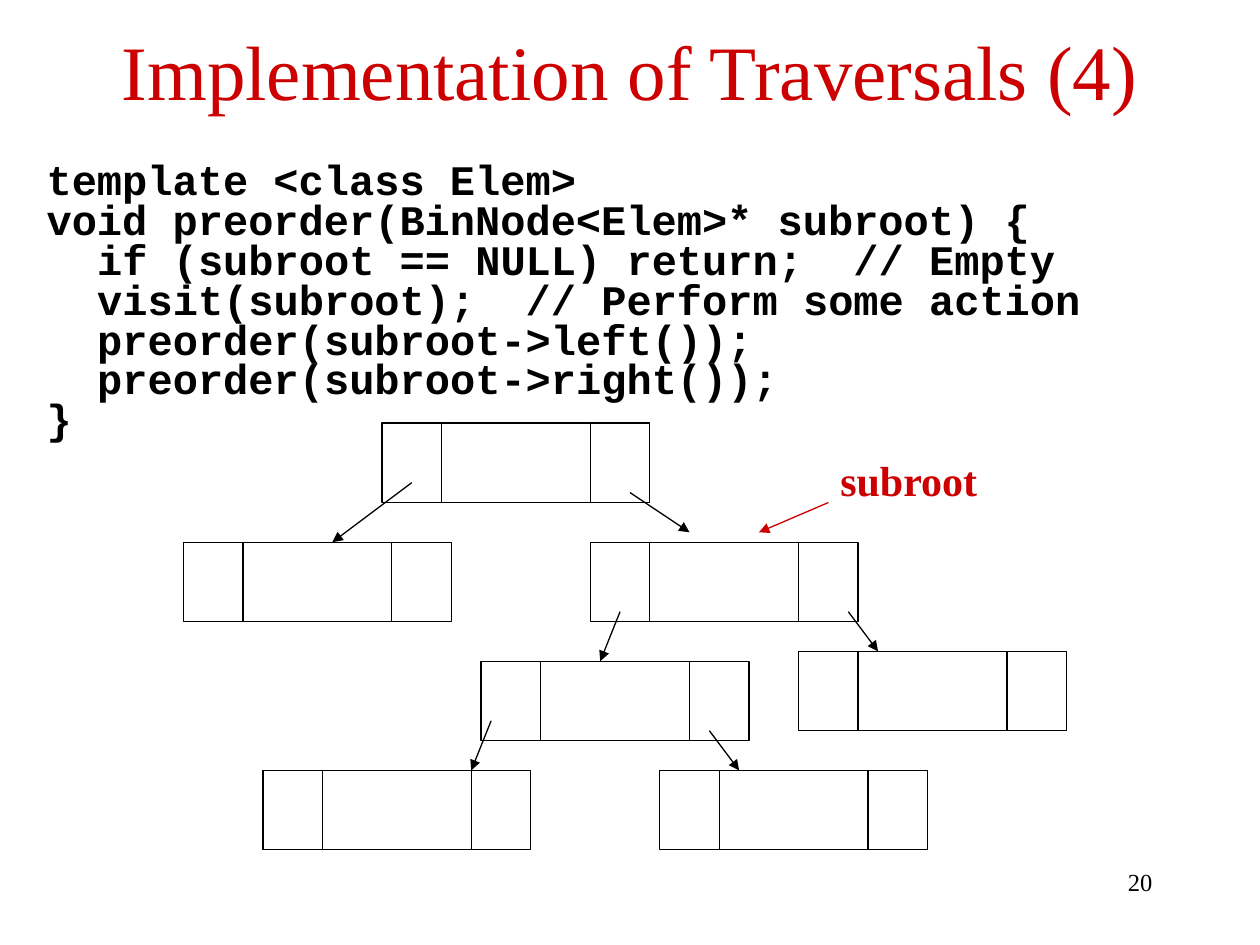
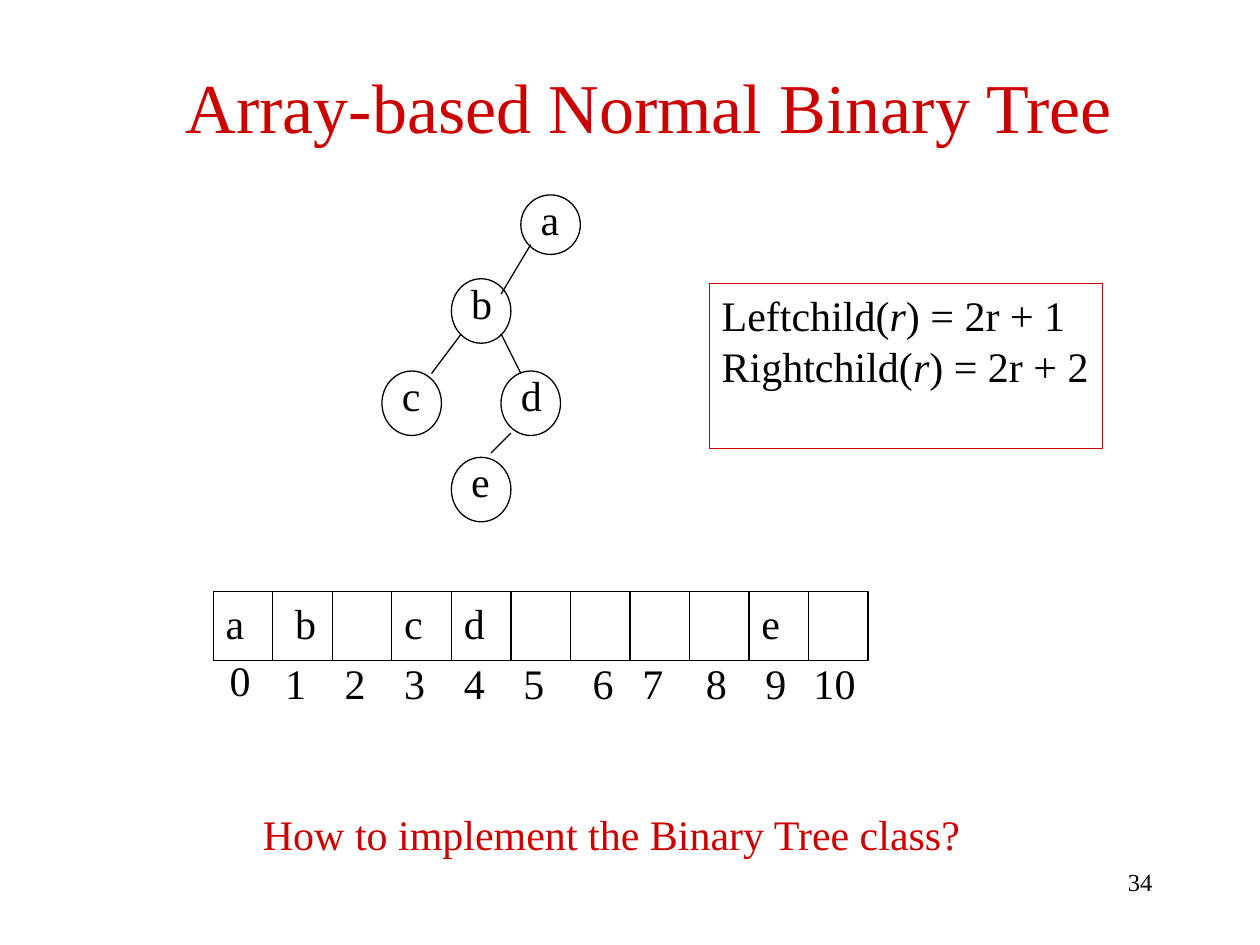
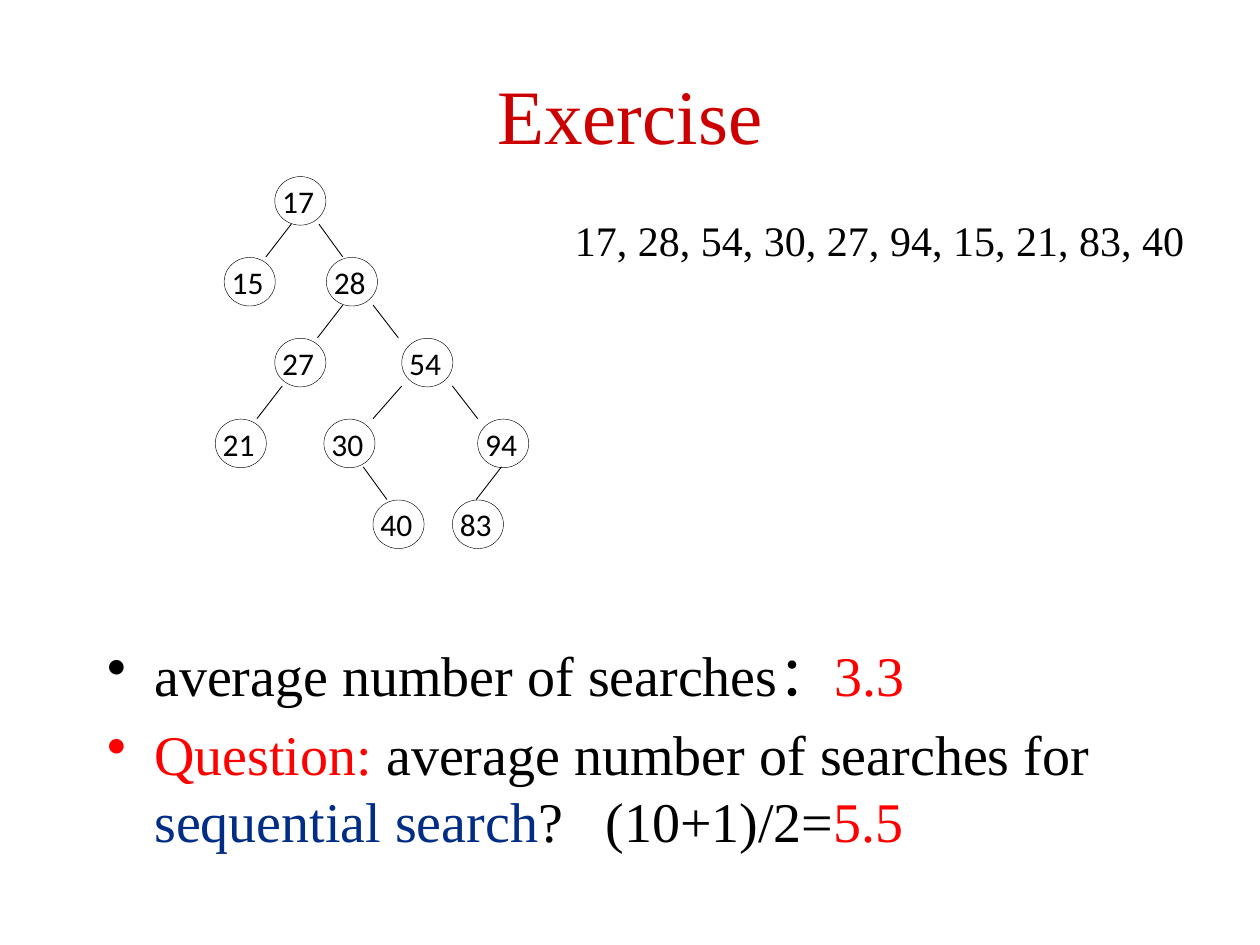
from dataclasses import dataclass

from lxml.etree import SubElement
from pptx import Presentation
from pptx.dml.color import RGBColor
from pptx.enum.shapes import MSO_CONNECTOR, MSO_SHAPE
from pptx.enum.text import MSO_ANCHOR, MSO_AUTO_SIZE, PP_ALIGN
from pptx.oxml.ns import qn
from pptx.util import Cm, Pt


@dataclass(frozen=True)
class Theme:
    # Colours
    ink: str = "000000"
    heading: str = "CC0000"
    answer: str = "FF0000"
    term: str = "012D86"
    # Fonts
    serif: str = "Times New Roman"
    code: str = "Courier New"
    label: str = "Calibri"
    # Type sizes
    title_size: int = 44
    long_title_size: int = 40
    body_size: int = 32
    text_size: int = 24
    node_size: int = 18
    number_size: int = 14
    # Line widths
    line: float = 0.75
    thin: float = 0.5
    hair: float = 0.25


class Deck:
    """Holds the theme and the slide being drawn; positions are in centimetres."""

    def __init__(self, theme):
        self.theme = theme
        self.prs = Presentation()
        self.prs.slide_width, self.prs.slide_height = Cm(25.4), Cm(19.05)
        self.slide = None

    def start(self, title, box, size=None, number=None):
        theme = self.theme
        self.slide = self.prs.slides.add_slide(self.prs.slide_layouts[5])
        heading = self.slide.shapes.title
        heading.left, heading.top, heading.width, heading.height = map(Cm, box)
        frame = heading.text_frame
        frame.auto_size = MSO_AUTO_SIZE.NONE
        frame.vertical_anchor = MSO_ANCHOR.MIDDLE
        self.fill_text(frame, [title], size=size or theme.title_size,
                       color=theme.heading, align=PP_ALIGN.CENTER)
        if number:
            self.text([number], (18.2, 17.35, 5.28, 1.27), wrap=True,
                      size=theme.number_size, align=PP_ALIGN.RIGHT)

    def fill_text(self, frame, lines, size=None, color=None, font=None, bold=False,
                  align=PP_ALIGN.LEFT):
        """Each line is a string or a list of (text, overrides) runs."""
        theme = self.theme
        for i, line in enumerate(lines):
            paragraph = frame.paragraphs[0] if i == 0 else frame.add_paragraph()
            paragraph.alignment = align
            for words, style in [(line, {})] if isinstance(line, str) else line:
                run = paragraph.add_run()
                run.text = words
                run.font.name = font or theme.serif
                run.font.size = Pt(size or theme.text_size)
                run.font.bold = bold
                run.font.italic = style.get("italic", False)
                run.font.color.rgb = RGBColor.from_string(
                    style.get("color", color or theme.ink))

    def text(self, lines, box, wrap=False, **style):
        frame = self.slide.shapes.add_textbox(*map(Cm, box)).text_frame
        frame.word_wrap = wrap
        self.fill_text(frame, lines, **style)
        return frame

    def outline(self, kind, box, color=None, width=None, shapes=None):
        shape = (shapes or self.slide.shapes).add_shape(kind, *map(Cm, box))
        shape.shadow.inherit = False
        shape.fill.background()
        self.stroke(shape.line, color, width)
        return shape

    def stroke(self, line, color=None, width=None):
        line.color.rgb = RGBColor.from_string(color or self.theme.ink)
        line.width = Pt(width or self.theme.line)

    def line(self, ends, color=None, width=None, arrow=False):
        edge = self.slide.shapes.add_connector(MSO_CONNECTOR.STRAIGHT, *map(Cm, ends))
        self.stroke(edge.line, color, width)
        props = edge._element.spPr
        if arrow:
            SubElement(props.find(qn("a:ln")), qn("a:tailEnd"), type="triangle")
        SubElement(props, qn("a:effectLst"))

    def record(self, left, top):
        """Tree node with a left pointer, a value and a right pointer."""
        parts = self.slide.shapes.add_group_shape().shapes
        for offset, width in ((0, 1.2), (4.2, 1.2), (1.2, 3)):
            self.outline(MSO_SHAPE.RECTANGLE, (left + offset, top, width, 1.6),
                         shapes=parts)

    def indent(self, paragraph, left, hanging=0, bullet=None):
        props = paragraph._p.get_or_add_pPr()
        props.set("marL", str(Cm(left)))
        props.set("indent", str(-Cm(hanging)))
        if bullet:
            SubElement(props, qn("a:buChar"), char=bullet)


def traversals(deck):
    theme = deck.theme
    deck.start("Implementation of Traversals (4)", (1.27, 0.13, 22.86, 2.54), number="20")

    # Code listing, with the function body set in
    code = [
        "template <class Elem>",
        "void preorder(BinNode<Elem>* subroot) {",
        "if (subroot == NULL) return;  // Empty",
        "visit(subroot);  // Perform some action",
        "preorder(subroot->left());",
        "preorder(subroot->right());",
        "}",
    ]
    listing = deck.text(code, (0.69, 3.33, 22.86, 12.7), wrap=True,
                        font=theme.code, bold=True)
    for i, paragraph in enumerate(listing.paragraphs):
        paragraph.line_spacing = 0.6
        paragraph.space_before = Pt(5.5)
        if 2 <= i <= 5:
            deck.indent(paragraph, 1.02)

    # Linked tree
    for left, top in ((7.7, 8.53), (3.7, 10.93), (11.9, 10.93), (9.7, 13.33),
                      (16.1, 13.13), (5.3, 15.53), (13.3, 15.53)):
        deck.record(left, top)
    for pointer in ((8.3, 9.73, 6.7, 10.93), (12.7, 9.93, 13.9, 10.73),
                    (12.5, 12.33, 12.1, 13.33), (17.1, 12.33, 17.7, 13.13),
                    (9.9, 14.53, 9.5, 15.53), (14.3, 14.73, 14.9, 15.53)):
        deck.line(pointer, arrow=True)

    # Marked subroot
    deck.line((16.7, 10.13, 15.3, 10.73), color=theme.heading, arrow=True)
    deck.text(["subroot"], (16.69, 9.03, 3.3, 1.27), color=theme.heading, bold=True)


def array_tree(deck):
    theme = deck.theme
    deck.start("Array-based Normal Binary Tree", (2.29, 0.53, 21.59, 3.18),
               size=theme.long_title_size, number="34")

    # Tree
    for letter, left, top, height in (("a", 10.5, 3.93, 1.2), ("b", 9.1, 5.62, 1.3),
                                      ("c", 7.7, 7.48, 1.3), ("d", 10.1, 7.48, 1.3),
                                      ("e", 9.1, 9.22, 1.3)):
        deck.outline(MSO_SHAPE.OVAL, (left, top, 1.2, height))
        deck.text([letter], (left + 0.15, top - 0.16, 0.89, 1.27))
    for edge in ((10.7, 4.93, 10.1, 5.93), (9.3, 6.73, 8.7, 7.53),
                 (10.1, 6.73, 10.5, 7.53), (9.9, 9.13, 10.3, 8.73)):
        deck.line(edge)

    # Child formulas
    formulas = deck.outline(MSO_SHAPE.RECTANGLE, (14.3, 5.72, 7.92, 3.33),
                            color=theme.heading).text_frame
    formulas.word_wrap = False
    formulas.vertical_anchor = MSO_ANCHOR.TOP
    deck.fill_text(formulas, [[(f"{side}child(", {}), ("r", {"italic": True}),
                               (f") = 2r + {step}", {})]
                              for side, step in (("Left", 1), ("Right", 2))])

    # Array cells with their values and indices
    values = {0: "a", 1: "b", 3: "c", 4: "d", 9: "e"}
    value_shift = {1: 0.2}
    index_shift = {0: 0.08, 6: 0.2, 8: 0.08, 9: 0.08, 10: -0.15}
    for i in range(11):
        left = 4.3 + 1.2 * i
        deck.outline(MSO_SHAPE.RECTANGLE, (left, 11.92, 1.2, 1.4))
        if i in values:
            deck.text([values[i]], (left + value_shift.get(i, 0), 11.92, 0.9, 1.27))
        deck.text([str(i)], (left + index_shift.get(i, 0), 13.13 if i else 13.06,
                             0.94 if i < 10 else 1.35, 1.27))

    deck.text(["How to implement the Binary Tree class?"], (5.05, 16.18, 14.6, 1.27),
              color=theme.heading)


def exercise(deck):
    theme = deck.theme
    deck.start("Exercise", (1.27, 1.02, 22.86, 2.54))

    # Search results
    red, blue = {"color": theme.answer}, {"color": theme.term}
    results = deck.text(
        [[("average number of searches：", {}), ("3.3", red)],
         [("Question: ", red), ("average number of searches for ", {}),
          ("sequential search", blue), ("?   (10+1)/2=", {}), ("5.5", red)]],
        (1.91, 12.78, 21.59, 4.14), wrap=True, size=theme.body_size)
    for paragraph in results.paragraphs:
        paragraph.space_before = Pt(7)
        deck.indent(paragraph, 0.95, hanging=0.95, bullet="•")

    # Search tree, level by level: keys with their left edges
    levels = [
        {"17": 5.54},
        {"15": 4.52, "28": 6.58},
        {"27": 5.54, "54": 8.1},
        {"21": 4.34, "30": 6.53, "94": 9.63},
        {"40": 7.52, "83": 9.12},
    ]
    # Horizontal ends of the edges below each level
    edges = [
        [(5.87, 5.36), (6.43, 6.91)],
        [(6.91, 6.4), (7.52, 8.03)],
        [(5.69, 5.18), (8.1, 7.52), (9.12, 9.63)],
        [(10.11, 9.6), (7.32, 7.8)],
    ]
    first_top, step = 3.56, 1.63
    for depth, keys in enumerate(levels):
        for key, left in keys.items():
            frame = deck.outline(MSO_SHAPE.OVAL, (left, first_top + step * depth, 1.03, 0.98),
                                 width=theme.hair).text_frame
            frame.margin_left = frame.margin_right = 0
            frame.margin_top = frame.margin_bottom = 0
            frame.vertical_anchor = MSO_ANCHOR.MIDDLE
            deck.fill_text(frame, [key], size=theme.node_size, font=theme.label,
                           align=PP_ALIGN.JUSTIFY)
    for depth, pairs in enumerate(edges):
        top = first_top + step * depth + 0.96
        for upper, lower in pairs:
            deck.line((upper, top, lower, top + 0.66), width=theme.thin)

    # Insertion order
    deck.text(["17, 28, 54, 30, 27, 94, 15, 21, 83, 40"], (11.34, 4.19, 12.79, 1.27))


def main():
    deck = Deck(Theme())
    traversals(deck)
    array_tree(deck)
    exercise(deck)
    deck.prs.save("out.pptx")


if __name__ == "__main__":
    main()
